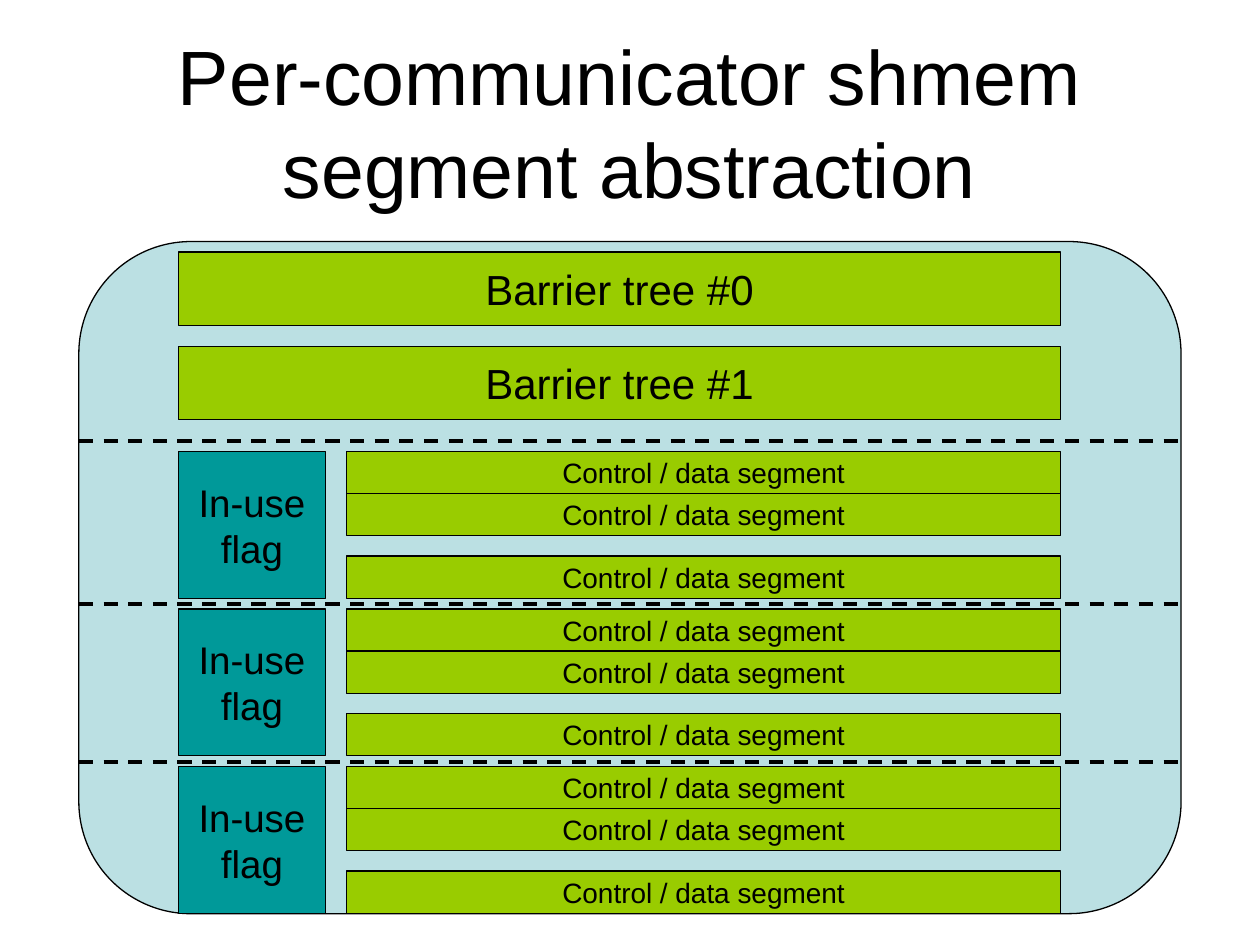
import pptx
import pptx.dml.color
import pptx.enum.dml
import pptx.enum.shapes
import pptx.enum.text
import pptx.oxml.ns
import pptx.util
from lxml import etree
from pptx.util import Cm

BLACK, PANEL, GREEN, TEAL = "000000", "BBE0E3", "99CC00", "009999"
LEFT, SEGMENT_LEFT, RIGHT = 3.6, 6.99, 21.38
PANEL_LEFT, PANEL_RIGHT = 1.59, 23.81
GROUP_TOP, GROUP_PITCH = 9.1, 3.175
SEGMENT_HEIGHT, FLAG_SIZE = 0.85, 2.96
SEGMENT_OFFSETS = (0, 0.85, 2.11)


def color(hex_code):
    return pptx.dml.color.RGBColor.from_string(hex_code)


def write_text(shape, text, size=16, font="Arial", fill=BLACK, wrap=True):
    frame = shape.text_frame
    frame.word_wrap = wrap
    frame.auto_size = pptx.enum.text.MSO_AUTO_SIZE.NONE
    frame.vertical_anchor = pptx.enum.text.MSO_ANCHOR.MIDDLE
    para = frame.paragraphs[0]
    para.alignment = pptx.enum.text.PP_ALIGN.CENTER
    span = para.add_run()
    span.text = text
    span.font.size = pptx.util.Pt(size)
    span.font.name = font
    span.font.color.rgb = color(fill)


def add_box(page, left, top, width, height, fill, rounded=False):
    kinds = pptx.enum.shapes.MSO_SHAPE
    kind = kinds.ROUNDED_RECTANGLE if rounded else kinds.RECTANGLE
    box = page.shapes.add_shape(kind, Cm(left), Cm(top), Cm(width), Cm(height))
    box.shadow.inherit = False
    box.fill.solid()
    box.fill.fore_color.rgb = color(fill)
    box.line.color.rgb = color(BLACK)
    box.line.width = pptx.util.Pt(0.75)
    return box


def add_divider(page, top):
    divider = page.shapes.add_connector(
        pptx.enum.shapes.MSO_CONNECTOR.STRAIGHT,
        Cm(PANEL_LEFT), Cm(top), Cm(PANEL_RIGHT), Cm(top))
    divider.line.color.rgb = color(BLACK)
    divider.line.width = pptx.util.Pt(2)
    divider.line.dash_style = pptx.enum.dml.MSO_LINE.DASH
    etree.SubElement(divider._element.spPr, pptx.oxml.ns.qn("a:effectLst"))


def add_title(page, text):
    title = page.shapes.title
    title.left, title.top = Cm(1.9), Cm(0.85)
    title.width, title.height = Cm(21.59), Cm(3.18)
    write_text(title, text, size=44)


def add_segment_group(page, top):
    flag = add_box(page, LEFT, top, FLAG_SIZE, FLAG_SIZE, TEAL)
    write_text(flag, "In-use flag", size=22)
    for offset in SEGMENT_OFFSETS:
        segment = add_box(page, SEGMENT_LEFT, top + offset,
                          RIGHT - SEGMENT_LEFT, SEGMENT_HEIGHT, GREEN)
        write_text(segment, "Control / data segment", wrap=False)


def main():
    deck = pptx.Presentation()
    deck.slide_width, deck.slide_height = Cm(25.4), Cm(19.05)
    page = deck.slides.add_slide(deck.slide_layouts[5])
    add_title(page, "Per-communicator shmem segment abstraction")

    # Shared memory panel
    add_box(page, PANEL_LEFT, 4.87, PANEL_RIGHT - PANEL_LEFT, 13.55, PANEL,
            rounded=True)

    # Barrier trees
    for index in range(2):
        tree = add_box(page, LEFT, 5.08 + 1.905 * index, RIGHT - LEFT, 1.48, GREEN)
        write_text(tree, f"Barrier tree #{index}", size=24, wrap=False)

    # Flags with their segments
    for index in range(3):
        add_segment_group(page, GROUP_TOP + GROUP_PITCH * index)

    # Dividers between the parts
    for top in (8.89, 12.18, 15.36):
        add_divider(page, top)

    deck.save("out.pptx")


main()
